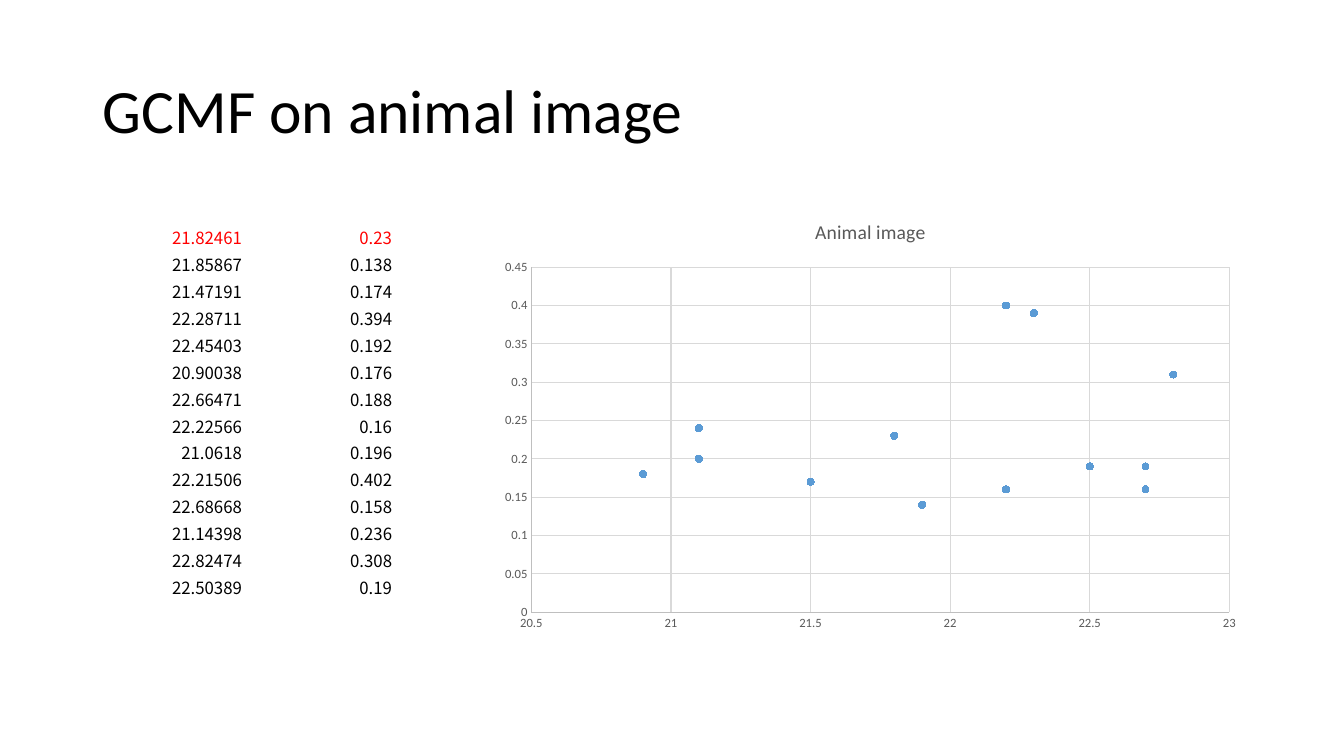
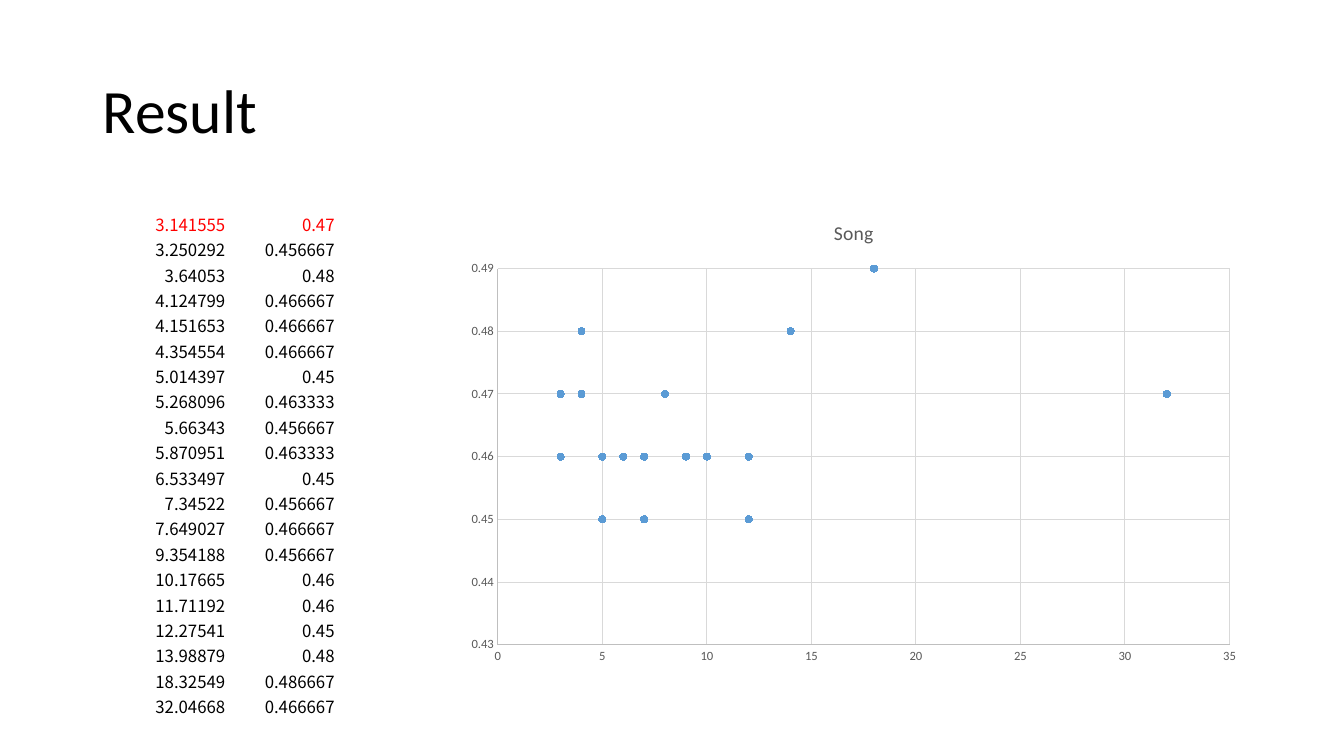
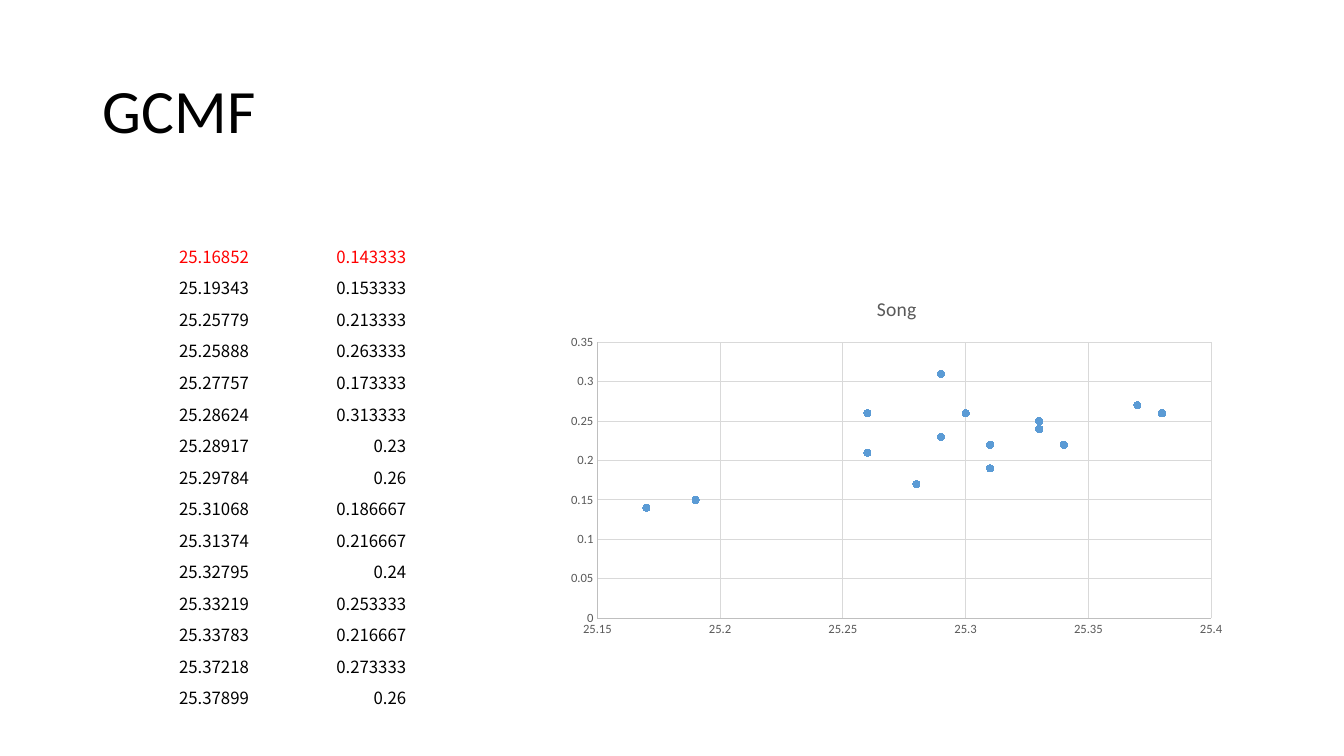
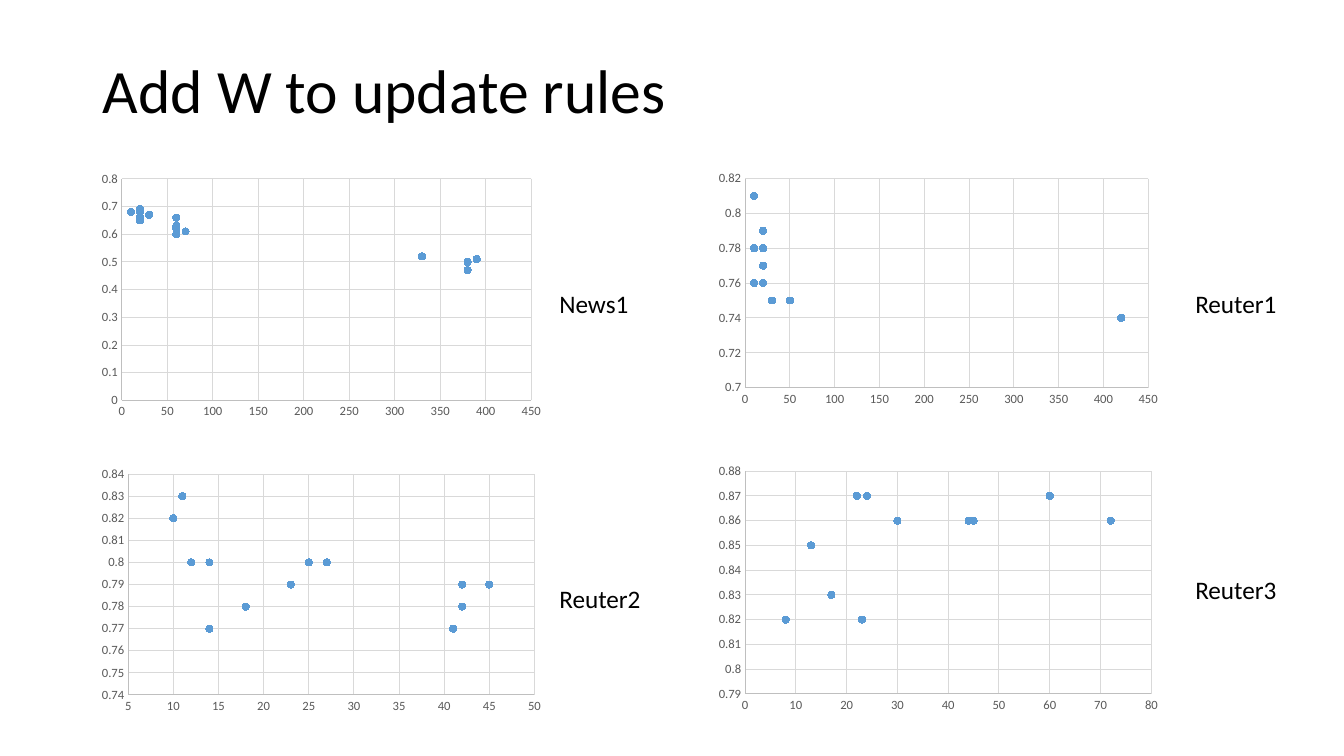
from dataclasses import dataclass

from pptx import Presentation
from pptx.chart.data import XyChartData
from pptx.dml.color import RGBColor
from pptx.enum.chart import XL_CHART_TYPE, XL_MARKER_STYLE, XL_TICK_MARK
from pptx.enum.text import MSO_ANCHOR, MSO_AUTO_SIZE, PP_ALIGN
from pptx.util import Inches, Pt

WIDTH, HEIGHT = Inches(40 / 3), Inches(7.5)


@dataclass(frozen=True)
class Theme:
    """Colours, fonts and type sizes of the deck."""
    ink: str = "000000"
    alert: str = "FF0000"
    soft: str = "595959"
    axis: str = "BFBFBF"
    grid: str = "D9D9D9"
    dot: str = "5B9BD5"
    font: str = "Calibri"
    digit: str = "Noto Sans CJK TC"
    head: int = 44
    label: int = 18
    name: int = 14
    cell: int = 12
    chart: int = 10
    tick: int = 9


THEME = Theme()

ANIMAL = """
21.82461 0.23
21.85867 0.138
21.47191 0.174
22.28711 0.394
22.45403 0.192
20.90038 0.176
22.66471 0.188
22.22566 0.16
21.0618 0.196
22.21506 0.402
22.68668 0.158
21.14398 0.236
22.82474 0.308
22.50389 0.19
"""

RESULT = """
3.141555 0.47
3.250292 0.456667
3.64053 0.48
4.124799 0.466667
4.151653 0.466667
4.354554 0.466667
5.014397 0.45
5.268096 0.463333
5.66343 0.456667
5.870951 0.463333
6.533497 0.45
7.34522 0.456667
7.649027 0.466667
9.354188 0.456667
10.17665 0.46
11.71192 0.46
12.27541 0.45
13.98879 0.48
18.32549 0.486667
32.04668 0.466667
"""

GCMF = """
25.16852 0.143333
25.19343 0.153333
25.25779 0.213333
25.25888 0.263333
25.27757 0.173333
25.28624 0.313333
25.28917 0.23
25.29784 0.26
25.31068 0.186667
25.31374 0.216667
25.32795 0.24
25.33219 0.253333
25.33783 0.216667
25.37218 0.273333
25.37899 0.26
"""

NEWS1 = """
390 0.51
380 0.5
380 0.47
330 0.52
70 0.61
60 0.66
60 0.6
60 0.63
60 0.62
30 0.67
20 0.69
20 0.69
20 0.66
20 0.66
20 0.66
20 0.65
20 0.68
20 0.65
10 0.68
"""

REUTER1 = """
30 0.75
10 0.81
420 0.74
10 0.78
20 0.79
50 0.75
10 0.81
10 0.78
10 0.76
20 0.76
20 0.77
20 0.78
20 0.76
20 0.78
"""

REUTER2 = """
42 0.78
10 0.82
14 0.8
14 0.77
45 0.79
42 0.79
11 0.83
12 0.8
18 0.78
41 0.77
23 0.79
27 0.8
25 0.8
"""

REUTER3 = """
60 0.87
22 0.87
13 0.85
72 0.86
23 0.82
44 0.86
24 0.87
8 0.82
45 0.86
17 0.83
30 0.86
30 0.86
"""

# Title, data, table place, chart name, chart place, x scale, y scale, x digits.
# Places are left, top, width, height in percent of the slide;
# scales are low, high, step.
STUDIES = [
    ("GCMF on animal image", ANIMAL, (6.9, 29.47, 22.35, 50),
     "Animal image", (36.45, 26.6, 56.63, 58),
     (20.5, 23, 0.5), (0, 0.45, 0.05), 1),
    ("Result", RESULT, (8.7, 27.87, 16.28, 67.07),
     "Song", (33.9, 26.6, 59.25, 62.4),
     (0, 35, 5), (0.43, 0.49, 0.01), 0),
    ("GCMF", GCMF, (6.9, 31.73, 23.4, 62.53),
     "Song", (41.48, 36.93, 50.48, 48.27),
     (25.15, 25.4, 0.05), (0, 0.35, 0.05), 2),
]

# Label, label top, data, chart top, chart height, x scale, y scale.
PANELS = [
    ("News1", 37.47, NEWS1, 22, 34.13, (0, 450, 50), (0, 0.8, 0.1)),
    ("Reuter1", 37.47, REUTER1, 22, 32.4, (0, 450, 50), (0.7, 0.82, 0.02)),
    ("Reuter2", 76.53, REUTER2, 61.07, 34, (5, 50, 5), (0.74, 0.84, 0.01)),
    ("Reuter3", 75.33, REUTER3, 60.67, 34.27, (0, 80, 10), (0.79, 0.88, 0.01)),
]
LEFTS = (6.9, 52.8)
LABELS = (40.88, 88.2)
SPAN = 34.03


def area(left, top, width, height):
    """Turn percentages of the slide into lengths."""
    return (int(WIDTH * left / 100), int(HEIGHT * top / 100),
            int(WIDTH * width / 100), int(HEIGHT * height / 100))


def pairs(data):
    """Split a block of data into rows of two words."""
    return [line.split() for line in data.strip().splitlines()]


def style(font, size, color=THEME.ink, name=THEME.font):
    """Set size, colour and face of a font."""
    font.size = Pt(size)
    font.name = name
    font.bold = False
    font.color.rgb = RGBColor.from_string(color)


def stroke(line, color):
    """Give a line its colour and the common width."""
    line.color.rgb = RGBColor.from_string(color)
    line.width = Pt(0.75)


def start(deck, text, top=5.33):
    """Add a slide with a formatted title."""
    slide = deck.slides.add_slide(deck.slide_layouts[5])
    title = slide.shapes.title
    title.left, title.top, title.width, title.height = area(
        6.9, top, 86.25, 19.33)
    frame = title.text_frame
    frame.text = text
    frame.auto_size = MSO_AUTO_SIZE.NONE
    frame.vertical_anchor = MSO_ANCHOR.MIDDLE
    para = frame.paragraphs[0]
    para.alignment = PP_ALIGN.LEFT
    para.line_spacing = 0.9
    style(para.runs[0].font, THEME.head)
    return slide


def label(slide, text, left, top):
    """Add a short caption."""
    box = slide.shapes.add_textbox(*area(left, top, 9, 5.33))
    frame = box.text_frame
    frame.word_wrap = True
    frame.text = text
    style(frame.paragraphs[0].runs[0].font, THEME.label)


def fill(cell, text, color):
    """Write one right-aligned number into a clear cell."""
    cell.fill.background()
    cell.margin_left = cell.margin_right = cell.margin_top = Inches(0.01)
    cell.margin_bottom = 0
    cell.vertical_anchor = MSO_ANCHOR.MIDDLE
    cell.text = text
    para = cell.text_frame.paragraphs[0]
    para.alignment = PP_ALIGN.RIGHT
    style(para.runs[0].font, THEME.cell, color, THEME.digit)


def table(slide, data, place):
    """Add the two-column table, its first row in the alert colour."""
    rows = pairs(data)
    grid = slide.shapes.add_table(len(rows), 2, *area(*place)).table
    grid.first_row = grid.horz_banding = False
    for row, words in enumerate(rows):
        color = THEME.ink if row else THEME.alert
        for col, word in enumerate(words):
            fill(grid.cell(row, col), word, color)


def scale(axis, low, high, step):
    """Set the range and look of an axis."""
    axis.minimum_scale, axis.maximum_scale = low, high
    axis.major_unit = step
    axis.major_tick_mark = axis.minor_tick_mark = XL_TICK_MARK.NONE
    axis.has_major_gridlines = True
    stroke(axis.major_gridlines.format.line, THEME.grid)
    stroke(axis.format.line, THEME.axis)
    style(axis.tick_labels.font, THEME.tick, THEME.soft)
    axis.tick_labels.number_format = "General"
    axis.tick_labels.number_format_is_linked = False


def scatter(slide, data, place, across, up, digits=0, name=None):
    """Add a scatter chart of rounded values, with a name if one is given."""
    points = XyChartData()
    series = points.add_series("Series 1")
    for x, y in pairs(data):
        series.add_data_point(round(float(x), digits), round(float(y), 2))
    chart = slide.shapes.add_chart(
        XL_CHART_TYPE.XY_SCATTER, *area(*place), points).chart
    style(chart.font, THEME.chart)
    chart.has_legend = False
    chart.has_title = bool(name)
    if name:
        frame = chart.chart_title.text_frame
        frame.text = name
        style(frame.paragraphs[0].runs[0].font, THEME.name, THEME.soft)
        chart.chart_title.include_in_layout = False
    scale(chart.category_axis, *across)
    scale(chart.value_axis, *up)
    plot = chart.plots[0]
    plot.vary_by_categories = False
    dots = plot.series[0]
    dots.smooth = False
    dots.format.line.fill.background()
    mark = dots.marker
    mark.style, mark.size = XL_MARKER_STYLE.CIRCLE, 5
    mark.format.fill.solid()
    mark.format.fill.fore_color.rgb = RGBColor.from_string(THEME.dot)
    stroke(mark.format.line, THEME.dot)


def main():
    """Build and save the deck."""
    deck = Presentation()
    deck.slide_width, deck.slide_height = WIDTH, HEIGHT
    for title, data, spot, name, place, across, up, digits in STUDIES:
        slide = start(deck, title)
        scatter(slide, data, place, across, up, digits, name)
        table(slide, data, spot)
    slide = start(deck, "Add W to update rules", 2.67)
    for index, (text, mid, data, top, tall, across, up) in enumerate(PANELS):
        col = index % 2
        scatter(slide, data, (LEFTS[col], top, SPAN, tall), across, up)
        label(slide, text, LABELS[col], mid)
    deck.save("out.pptx")


main()
